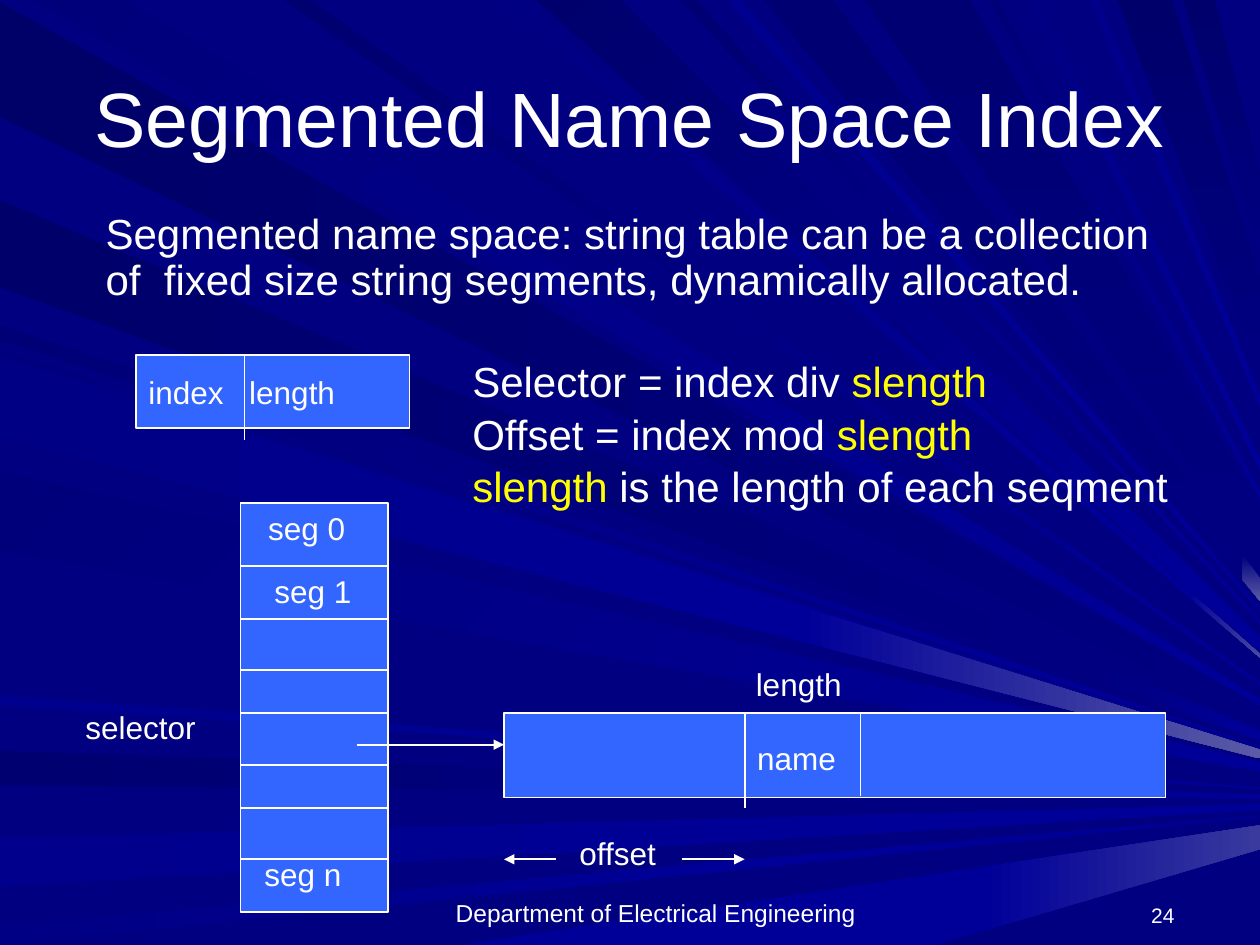
from dataclasses import dataclass
from itertools import chain, pairwise

from lxml import etree
from pptx import Presentation
from pptx import util as u
from pptx.dml.color import RGBColor
from pptx.enum import shapes, text
from pptx.oxml import ns

PX = 9144  # EMU per px, 100 px to the inch
WIDTH, HEIGHT = 1000, 750
FONT = "Arial"
COLORS = {"white": "FFFFFF", "yellow": "FFFF00", "box": "3366FF", "navy": "000080",
          "royal": "000099", "glow1": "39399E", "glow2": "4A4AA1", "glow3": "5A5AA6"}
# Shades of pure blue, keyed by their blue channel
COLORS |= {shade: f"0000{shade}" for shade in
           "69 6B 6D 70 71 73 76 78 7B 7E 83 85 8A 8C 8E".split()}

FOCUS = (1130, 635)  # all rays run towards this point, right of the slide
FLAT, SLANT, STEEP = 0, 45, 90  # gradient directions


@dataclass(frozen=True)
class Ray:
    edge: str  # slide edge it starts from
    first: int
    last: int
    start: str
    end: str
    angle: int = FLAT
    knee: int = WIDTH  # x where the ray changes to its tail colour
    tail: str = "royal"


@dataclass(frozen=True)
class Box:
    left: int
    top: int
    width: int
    height: int


@dataclass(frozen=True)
class Label:
    words: str
    box: Box
    size: int = 18
    align: text.PP_ALIGN = text.PP_ALIGN.LEFT
    anchor: text.MSO_ANCHOR = text.MSO_ANCHOR.TOP
    wrap: bool = False


# Background rays, from back to front
RAYS = [
    Ray("left", 2, 93, "69", "navy"),
    Ray("top", 26, 101, "7B", "royal", SLANT),
    Ray("left", 596, 623, "71", "navy", knee=701),
    Ray("left", 665, 704, "8C", "royal", knee=831),
    Ray("left", 735, 750, "85", "royal", knee=628),
    Ray("bottom", 364, 742, "royal", "royal", knee=780, tail="glow1"),
    Ray("left", 258, 270, "76", "royal", SLANT, knee=873),
    Ray("left", 159, 228, "6B", "navy", knee=873),
    Ray("top", 398, 416, "83", "royal", SLANT, knee=945, tail="glow2"),
    Ray("top", 426, 492, "6D", "royal", SLANT, knee=960),
    Ray("top", 540, 552, "73", "royal", SLANT),
    Ray("top", 606, 661, "73", "navy", STEEP, knee=986, tail="glow3"),
    Ray("top", 887, 930, "6B", "navy", STEEP),
    Ray("top", 939, 964, "6D", "navy", STEEP),
    Ray("left", 278, 342, "7E", "royal", SLANT),
    Ray("left", 374, 437, "7B", "royal", SLANT),
    Ray("left", 552, 560, "8E", "royal"),
    Ray("top", 225, 247, "70", "royal", SLANT),
    Ray("top", 577, 588, "8E", "royal", SLANT),
    Ray("top", 686, 770, "73", "navy", STEEP),
    Ray("top", 785, 792, "78", "royal", SLANT),
    Ray("top", 815, 824, "85", "royal", SLANT),
    Ray("top", 865, 872, "8A", "royal", SLANT),
    Ray("left", 283, 347, "85", "royal", knee=635, tail="glow3"),
]

# Diagram parts
ENTRY = Box(108, 282, 217, 58)
SEGMENT_TABLE = Box(191, 399, 117, 325)
STRING_SEGMENT = Box(400, 566, 525, 67)
ROW_LINES = (449, 491, 532, 566, 607, 641, 682)
DIVIDERS = [(194, 282, 349), (591, 566, 641), (683, 566, 632)]  # x, top, bottom
ARROWS = [((441, 682), (400, 682)), ((541, 682), (591, 682)), ((283, 591), (400, 591))]
LABELS = [
    Label("offset", Box(450, 657, 96, 50)),
    Label("length", Box(590, 523, 103, 50)),
    Label("name", Box(591, 582, 92, 50)),
    Label("selector", Box(58, 557, 124, 50)),
    Label("seg 0", Box(203, 399, 90, 50)),
    Label("seg 1", Box(208, 449, 90, 50)),
    Label("seg n", Box(200, 674, 90, 50)),
    Label("Department of Electrical Engineering", Box(183, 708, 675, 33), 14,
          text.PP_ALIGN.CENTER, text.MSO_ANCHOR.BOTTOM, True),
    Label("24", Box(875, 708, 67, 33), 12, text.PP_ALIGN.RIGHT, text.MSO_ANCHOR.BOTTOM, True),
]
INTRO = [[("Segmented name space: string table can be a collection", "white")],
         [("of  fixed size string segments, dynamically allocated.", "white")]]
FORMULAS = [[("Selector = index div ", "white"), ("slength", "yellow")],
            [("Offset = index mod ", "white"), ("slength", "yellow")],
            [("slength", "yellow"), (" is the length of each seqment", "white")]]


def rgb(name: str) -> RGBColor:
    return RGBColor.from_string(COLORS[name])


def emu(box: Box) -> list[int]:
    return [n * PX for n in (box.left, box.top, box.width, box.height)]


def add_run(paragraph, words: str, size: int, color: str = "white") -> None:
    run = paragraph.add_run()
    run.text = words
    run.font.name, run.font.size = FONT, u.Pt(size)
    run.font.color.rgb = rgb(color)


def towards_focus(point: tuple[int, int], x: int) -> tuple[int, int]:
    share = (x - point[0]) / (FOCUS[0] - point[0])
    return x, round(point[1] + share * (FOCUS[1] - point[1]))


def draw_ray(slide, ray: Ray):
    ends = (ray.first, ray.last)
    if ray.edge == "left":
        origin = [(0, y) for y in ends]
    else:
        origin = [(x, 0 if ray.edge == "top" else HEIGHT) for x in ends]
    stations = [origin] + [[towards_focus(point, x) for point in origin]
                           for x in sorted({ray.knee, WIDTH})]
    colors = (ray.start, ray.end, ray.tail)
    for (near, far), shades in zip(pairwise(stations), pairwise(colors)):
        builder = slide.shapes.build_freeform(*near[0], scale=PX)
        builder.add_line_segments([near[1], far[1], far[0]], close=True)
        shape = builder.convert_to_shape()
        shape.shadow.inherit = False
        shape.line.fill.background()
        if shades[0] == shades[1]:
            shape.fill.solid()
            shape.fill.fore_color.rgb = rgb(shades[0])
        else:
            shape.fill.gradient()
            shape.fill.gradient_angle = -ray.angle % 360
            for stop, color in zip(shape.fill.gradient_stops, shades):
                stop.color.rgb = rgb(color)
    return shape


def draw_box(slide, box: Box):
    shape = slide.shapes.add_shape(shapes.MSO_SHAPE.RECTANGLE, *emu(box))
    shape.shadow.inherit = False
    shape.fill.solid()
    shape.fill.fore_color.rgb = rgb("box")
    shape.line.color.rgb, shape.line.width = rgb("white"), u.Pt(1)
    return shape


def draw_line(slide, start: tuple[int, int], end: tuple[int, int], arrow: bool = False) -> None:
    line = slide.shapes.add_connector(shapes.MSO_CONNECTOR.STRAIGHT,
                                      *(n * PX for n in chain(start, end)))
    line.line.color.rgb, line.line.width = rgb("white"), u.Pt(1)
    if arrow:
        etree.SubElement(line.element.spPr.find(ns.qn("a:ln")), ns.qn("a:tailEnd"),
                         type="triangle")
    etree.SubElement(line.element.spPr, ns.qn("a:effectLst"))


def draw_label(slide, label: Label) -> None:
    frame = slide.shapes.add_textbox(*emu(label.box)).text_frame
    frame.word_wrap, frame.vertical_anchor = label.wrap, label.anchor
    frame.paragraphs[0].alignment = label.align
    add_run(frame.paragraphs[0], label.words, label.size)


def draw_lines_of_text(slide, box: Box, lines: list, spacing: float) -> None:
    frame = slide.shapes.add_textbox(*emu(box)).text_frame
    frame.word_wrap = False
    for number, runs in enumerate(lines):
        paragraph = frame.add_paragraph() if number else frame.paragraphs[0]
        paragraph.line_spacing = spacing
        for words, color in runs:
            add_run(paragraph, words, 24, color)


def main() -> None:
    deck = Presentation()
    deck.slide_width, deck.slide_height = WIDTH * PX, HEIGHT * PX
    slide = deck.slides.add_slide(deck.slide_layouts[5])
    # Background, with the title lifted above the rays
    slide.background.fill.solid()
    slide.background.fill.fore_color.rgb = rgb("navy")
    title = slide.shapes.title
    rays = [draw_ray(slide, ray) for ray in RAYS]
    rays[-1].element.addnext(title.element)
    title.left, title.top, title.width, title.height = emu(Box(50, 30, 900, 125))
    title.text_frame.vertical_anchor = text.MSO_ANCHOR.MIDDLE
    title.text_frame.paragraphs[0].alignment = text.PP_ALIGN.CENTER
    add_run(title.text_frame.paragraphs[0], "Segmented Name Space Index", 44)
    # Index entry, its two fields set apart by a tab stop
    entry = draw_box(slide, ENTRY).text_frame
    entry.vertical_anchor = text.MSO_ANCHOR.MIDDLE
    fields = entry.paragraphs[0]
    fields.alignment = text.PP_ALIGN.LEFT
    tabs = etree.SubElement(fields._p.get_or_add_pPr(), ns.qn("a:tabLst"))
    etree.SubElement(tabs, ns.qn("a:tab"), pos=str(80 * PX), algn="l")
    add_run(fields, "index\tlength", 18)
    # Segment table and the string segment it points to
    draw_box(slide, SEGMENT_TABLE)
    draw_box(slide, STRING_SEGMENT)
    right = SEGMENT_TABLE.left + SEGMENT_TABLE.width
    for y in ROW_LINES:
        draw_line(slide, (SEGMENT_TABLE.left, y), (right, y))
    for x, top, bottom in DIVIDERS:
        draw_line(slide, (x, top), (x, bottom))
    for start, end in ARROWS:
        draw_line(slide, start, end, arrow=True)
    # Text
    for label in LABELS:
        draw_label(slide, label)
    draw_lines_of_text(slide, Box(74, 163, 866, 83), INTRO, 0.93)
    draw_lines_of_text(slide, Box(365, 275, 578, 131), FORMULAS, 1.05)
    deck.save("out.pptx")


if __name__ == "__main__":
    main()
